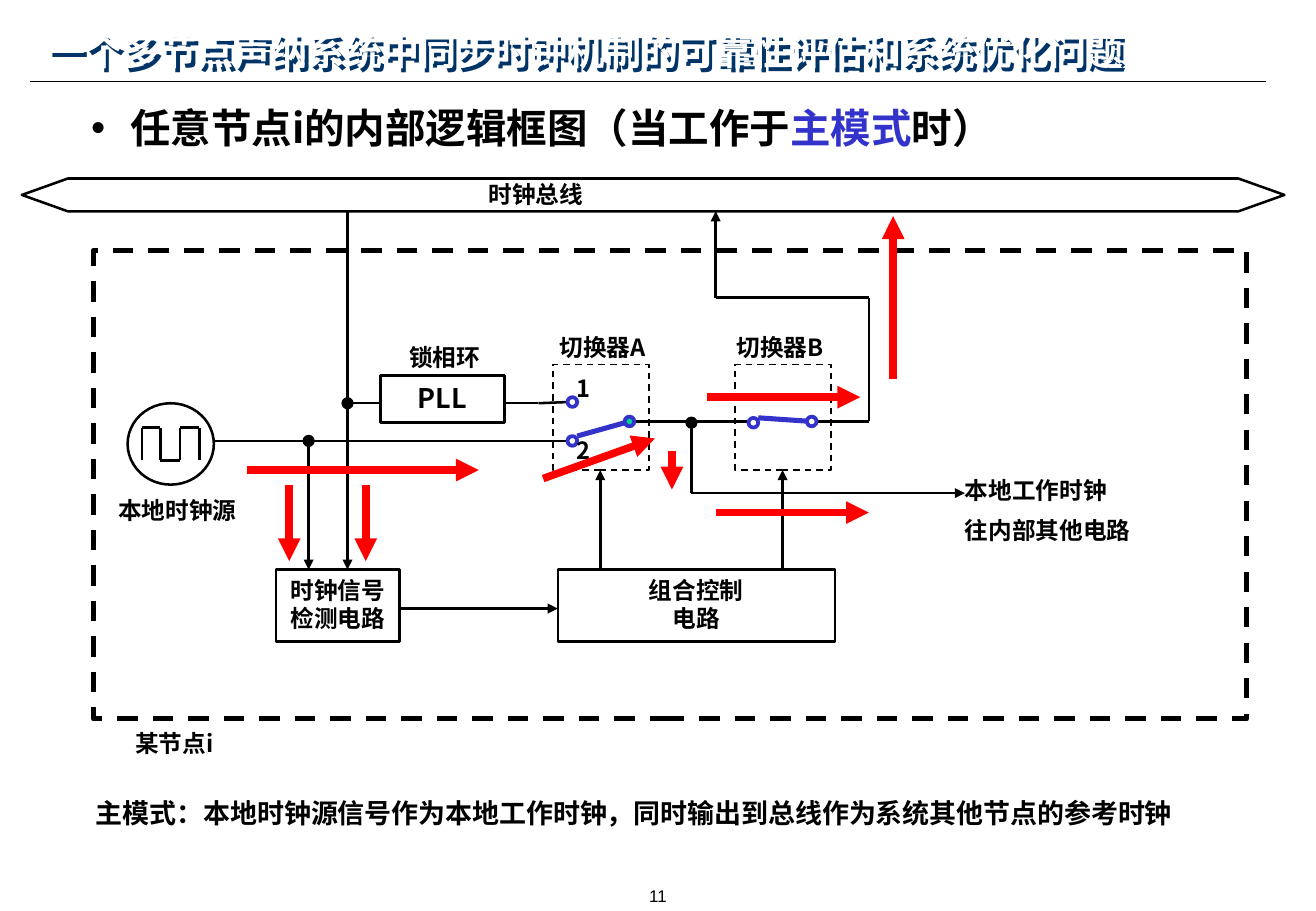
from dataclasses import dataclass
from itertools import pairwise

from lxml.etree import SubElement
from pptx import Presentation
from pptx.dml.color import RGBColor
from pptx.enum.dml import MSO_LINE
from pptx.enum.shapes import MSO_CONNECTOR, MSO_SHAPE
from pptx.enum.text import MSO_ANCHOR, PP_ALIGN
from pptx.oxml.ns import qn
from pptx.util import Pt

EMU_PER_PX = 9144  # 100 px to the inch
FONT = "Noto Sans CJK SC"
BLACK, WHITE, RED, BLUE, GREEN, NAVY = "000000", "FFFFFF", "FF0000", "3333CC", "00CC99", "003366"
CONTACT = 8


@dataclass
class Box:
    left: int
    top: int
    width: int
    height: int
    text: str = ""
    size: int = 14
    kind: MSO_SHAPE = MSO_SHAPE.RECTANGLE
    fill: str = ""
    line: str = BLACK
    weight: float = 1.5
    dashed: bool = False


@dataclass
class Wire:
    points: list[tuple[int, int]]
    arrow: bool = False
    color: str = BLACK
    weight: float = 1.5


@dataclass
class Label:
    left: int
    top: int
    width: int
    height: int
    text: str
    size: int = 14
    align: PP_ALIGN = PP_ALIGN.CENTER
    inset_x: int = 0
    inset_y: int = 5
    space_before: int = 7
    font: str = FONT
    bold: bool = True


def px(*lengths: int) -> list[int]:
    return [length * EMU_PER_PX for length in lengths]


def rgb(color: str) -> RGBColor:
    return RGBColor.from_string(color)


def set_insets(frame, inset_x: int, inset_y: int) -> None:
    frame.margin_left = frame.margin_right = inset_x * EMU_PER_PX
    frame.margin_top = frame.margin_bottom = inset_y * EMU_PER_PX


def format_paragraph(paragraph, size: int, color: str = BLACK, font: str = FONT,
                     bold: bool = True, align: PP_ALIGN = PP_ALIGN.LEFT) -> None:
    paragraph.alignment = align
    paragraph.font.size = Pt(size)
    paragraph.font.bold = bold
    paragraph.font.name = font
    paragraph.font.color.rgb = rgb(color)
    SubElement(paragraph.font._element, qn("a:ea"), typeface=FONT)


def draw_box(slide, box: Box) -> None:
    shape = slide.shapes.add_shape(box.kind, *px(box.left, box.top, box.width, box.height))
    shape.shadow.inherit = False
    if box.fill:
        shape.fill.solid()
        shape.fill.fore_color.rgb = rgb(box.fill)
    else:
        shape.fill.background()
    shape.line.color.rgb = rgb(box.line)
    shape.line.width = Pt(box.weight)
    if box.dashed:
        shape.line.dash_style = MSO_LINE.DASH
    if box.kind == MSO_SHAPE.LEFT_RIGHT_ARROW:
        shape.adjustments[0], shape.adjustments[1] = 1, 1.4
    if box.text:
        frame = shape.text_frame
        frame.text = box.text
        frame.vertical_anchor = MSO_ANCHOR.TOP
        set_insets(frame, 0, 5)
        for paragraph in frame.paragraphs:
            format_paragraph(paragraph, box.size, align=PP_ALIGN.CENTER)


def draw_wire(slide, wire: Wire) -> None:
    """Draw one connector per segment, with any arrowhead on the last."""
    for start, end in pairwise(wire.points):
        connector = slide.shapes.add_connector(MSO_CONNECTOR.STRAIGHT, *px(*start, *end))
        connector.line.color.rgb = rgb(wire.color)
        connector.line.width = Pt(wire.weight)
        if wire.arrow and end == wire.points[-1]:
            SubElement(connector.line._get_or_add_ln(), qn("a:tailEnd"), type="triangle")
        SubElement(connector._element.spPr, qn("a:effectLst"))


def draw_contact(slide, x: int, y: int, fill: str, line: str, weight: float) -> None:
    draw_box(slide, Box(x - CONTACT // 2, y - CONTACT // 2, CONTACT, CONTACT,
                        kind=MSO_SHAPE.OVAL, fill=fill, line=line, weight=weight))


def draw_label(slide, label: Label) -> None:
    text_box = slide.shapes.add_textbox(*px(label.left, label.top, label.width, label.height))
    frame = text_box.text_frame
    frame.word_wrap = True
    set_insets(frame, label.inset_x, label.inset_y)
    frame.text = label.text
    for index, paragraph in enumerate(frame.paragraphs):
        format_paragraph(paragraph, label.size, font=label.font, bold=label.bold, align=label.align)
        paragraph.space_before = Pt(label.space_before if index else 0)


def place(placeholder, left: int, top: int, width: int, height: int, anchor: MSO_ANCHOR):
    placeholder.left, placeholder.top, placeholder.width, placeholder.height = px(left, top, width, height)
    frame = placeholder.text_frame
    frame.vertical_anchor = anchor
    set_insets(frame, 10, 5)
    return frame.paragraphs[0]


def fill_title(title) -> None:
    paragraph = place(title, 30, 17, 1063, 50, MSO_ANCHOR.MIDDLE)
    paragraph.text = "一个多节点声纳系统中同步时钟机制的可靠性评估和系统优化问题"
    format_paragraph(paragraph, 22, WHITE, "Arial")
    effects = SubElement(title._element.spPr, qn("a:effectLst"))
    shadow = SubElement(effects, qn("a:outerShdw"), dist="35921", dir="2700000", algn="ctr", rotWithShape="0")
    SubElement(shadow, qn("a:srgbClr"), val=NAVY)


def fill_body(body) -> None:
    paragraph = place(body, 65, 80, 843, 50, MSO_ANCHOR.TOP)
    for text, color in (("任意节点i的内部逻辑框图（当工作于", BLACK), ("主模式", BLUE), ("时）", BLACK)):
        run = paragraph.add_run()
        run.text = text
        run.font.color.rgb = rgb(color)
    format_paragraph(paragraph, 24)
    paragraph.space_before = Pt(0)
    properties = paragraph._p.get_or_add_pPr()
    properties.set("marL", str(32 * EMU_PER_PX))
    properties.set("indent", str(-32 * EMU_PER_PX))


BOXES = [
    Box(455, 300, 79, 87, weight=1, dashed=True),
    Box(605, 300, 79, 87, weight=1, dashed=True),
    Box(313, 309, 102, 39, "PLL", 16),
    Box(105, 332, 71, 67, kind=MSO_SHAPE.OVAL, fill=WHITE),
    Box(227, 469, 102, 59, "时钟信号\n检测电路"),
    Box(459, 469, 228, 59, "组合控制\n电路"),
    Box(18, 147, 1039, 27, kind=MSO_SHAPE.LEFT_RIGHT_ARROW, fill=WHITE),
    Box(77, 206, 949, 386, weight=3, dashed=True),
]
WIRES = [
    Wire([(25, 67), (1042, 67)], weight=0.75),
    Wire([(117, 379), (117, 352), (132, 352), (132, 379), (148, 379), (148, 352), (164, 352), (164, 379)]),
    Wire([(176, 363), (443, 363), (467, 363)]),
    Wire([(415, 332), (443, 332), (467, 331)]),
    Wire([(313, 332), (286, 332), (286, 174)]),
    Wire([(286, 332), (286, 371), (286, 469)], arrow=True),
    Wire([(254, 363), (254, 469)], arrow=True),
    Wire([(329, 501), (459, 501)], arrow=True),
    Wire([(494, 469), (494, 387)], arrow=True),
    Wire([(644, 469), (644, 387)], arrow=True),
    Wire([(522, 347), (546, 347), (593, 347), (616, 347)]),
    Wire([(672, 347), (695, 347), (715, 347), (715, 245), (589, 245), (589, 174)], arrow=True),
    Wire([(569, 347), (569, 406), (794, 406)], arrow=True),
    Wire([(475, 359), (518, 347)], color=BLUE, weight=3),
    Wire([(624, 344), (668, 347)], color=BLUE, weight=3),
]
SIGNAL_PATHS = [
    [(203, 387), (394, 387)], [(447, 394), (539, 361)], [(553, 371), (553, 403)],
    [(589, 422), (715, 422)], [(238, 399), (238, 462)], [(301, 399), (301, 462)],
    [(735, 312), (735, 178)], [(582, 327), (708, 327)],
]
SWITCH_CONTACTS = [(471, 331, WHITE), (471, 363, WHITE), (518, 347, GREEN), (620, 348, WHITE), (668, 347, WHITE)]
JUNCTIONS = [(254, 363), (286, 332), (569, 348)]
LABELS = [
    Label(447, 308, 67, 23, "1", inset_y=0),
    Label(447, 359, 67, 23, "2", inset_y=0),
    Label(81, 403, 130, 33, "本地时钟源"),
    Label(301, 277, 130, 33, "锁相环"),
    Label(431, 269, 130, 33, "切换器A"),
    Label(577, 269, 130, 33, "切换器B"),
    Label(376, 143, 130, 33, "时钟总线"),
    Label(794, 387, 177, 68, "本地工作时钟\n往内部其他电路", align=PP_ALIGN.LEFT),
    Label(61, 595, 165, 33, "某节点i"),
    Label(69, 651, 1012, 37, "主模式：本地时钟源信号作为本地工作时钟，同时输出到总线作为系统其他节点的参考时钟",
          16, PP_ALIGN.LEFT, inset_x=10),
    Label(370, 725, 343, 25, "11", 10, inset_x=7, inset_y=4, font="Arial", bold=False),
]


def main() -> None:
    presentation = Presentation()
    presentation.slide_width, presentation.slide_height = px(1083, 750)
    slide = presentation.slides.add_slide(presentation.slide_layouts[1])
    fill_title(slide.shapes.title)
    fill_body(slide.placeholders[1])
    for box in BOXES:
        draw_box(slide, box)
    for wire in WIRES:
        draw_wire(slide, wire)
    for x, y, fill in SWITCH_CONTACTS:
        draw_contact(slide, x, y, fill, BLUE, 2.25)
    for x, y in JUNCTIONS:
        draw_contact(slide, x, y, BLACK, BLACK, 1.5)
    for label in LABELS:
        draw_label(slide, label)
    for points in SIGNAL_PATHS:
        draw_wire(slide, Wire(points, arrow=True, color=RED, weight=4.5))
    presentation.save("out.pptx")


if __name__ == "__main__":
    main()
